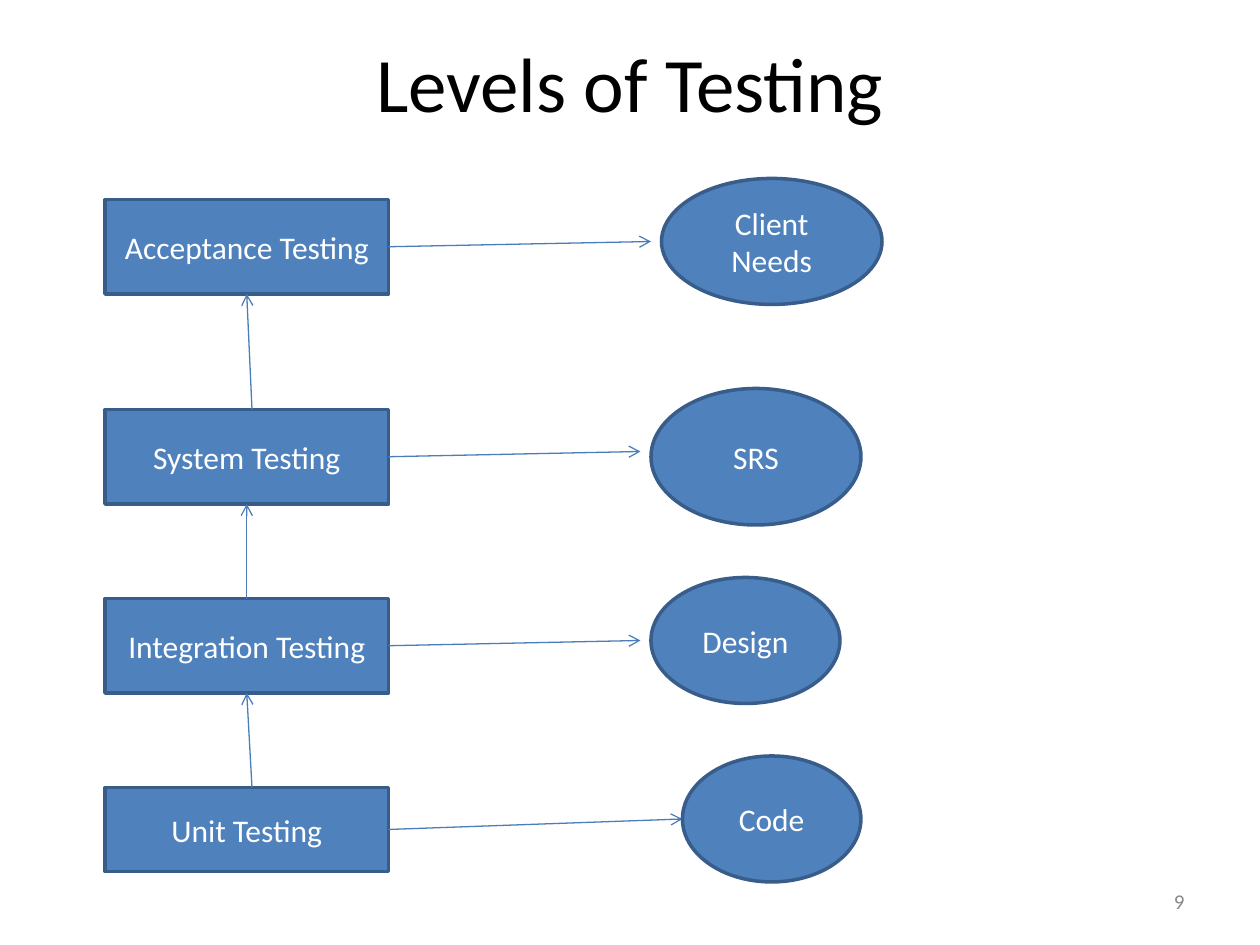
import pptx
import pptx.util
import pptx.dml.color
import pptx.enum.shapes
import pptx.enum.text
import lxml.etree

# Content, placed on a grid of 120 columns by 90 rows
COLS, ROWS = 120, 90
TITLE, PAGE = "Levels of Testing", "9"
BOX_LEFT, BOX_WIDTH = 10, 27
# label, top, height, column where the arrow to the next level up starts
LEVELS = [
    ("Acceptance Testing", 19, 9, None),
    ("System Testing", 39, 9, 24),
    ("Integration Testing", 57, 9, 23.5),
    ("Unit Testing", 75, 8, 24),
]
# label, (left, top, width, height), arrow tip (column, row)
BASES = [
    ("Client Needs", (63, 17, 21, 12), (62, 23)),
    ("SRS", (62, 37, 20, 13), (61, 43)),
    ("Design", (62, 55, 18, 12), (61, 61)),
    ("Code", (65, 72, 17, 12), (65, 78)),
]
COLORS = {"fill": "4F81BD", "edge": "385D8A", "arrow": "4A7EBB",
          "title": "000000", "label": "FFFFFF", "page": "898989"}
FONT = "Calibri"
FRAME = {"word_wrap": True,
         "vertical_anchor": pptx.enum.text.MSO_ANCHOR.MIDDLE,
         "margin_left": pptx.util.Inches(0.1), "margin_right": pptx.util.Inches(0.1),
         "margin_top": pptx.util.Inches(0.05), "margin_bottom": pptx.util.Inches(0.05)}
ALIGN = pptx.enum.text.PP_ALIGN
SHAPE = pptx.enum.shapes.MSO_SHAPE

prs = pptx.Presentation()
prs.slide_width, prs.slide_height = pptx.util.Inches(10), pptx.util.Inches(7.5)
s = prs.slides.add_slide(prs.slide_layouts[6])


def x(col):
    return round(prs.slide_width * col / COLS)


def y(row):
    return round(prs.slide_height * row / ROWS)


def rgb(name):
    return pptx.dml.color.RGBColor.from_string(COLORS[name])


def write(sp, text, size, color, align=ALIGN.CENTER):
    tf = sp.text_frame
    for key, value in FRAME.items():
        setattr(tf, key, value)
    p = tf.paragraphs[0]
    p.alignment = align
    r = p.add_run()
    r.text = text
    for key, value in {"name": FONT, "size": pptx.util.Pt(size)}.items():
        setattr(r.font, key, value)
    r.font.color.rgb = rgb(color)


def node(kind, label, left, top, width, height):
    sp = s.shapes.add_shape(kind, x(left), y(top), x(width), y(height))
    sp.shadow.inherit = False
    sp.fill.solid()
    sp.fill.fore_color.rgb = rgb("fill")
    sp.line.color.rgb = rgb("edge")
    sp.line.width = pptx.util.Pt(2)
    write(sp, label, 18, "label")
    return sp


def arrow(start, tip):
    c = s.shapes.add_connector(pptx.enum.shapes.MSO_CONNECTOR.STRAIGHT,
                               x(start[0]), y(start[1]), x(tip[0]), y(tip[1]))
    c.line.color.rgb = rgb("arrow")
    c.line.width = pptx.util.Pt(0.75)
    ns = "{http://schemas.openxmlformats.org/drawingml/2006/main}"
    lxml.etree.SubElement(c.line._get_or_add_ln(), ns + "tailEnd", type="arrow")
    lxml.etree.SubElement(c._element.spPr, ns + "effectLst")
    return c


# Title and page number
write(s.shapes.add_textbox(x(6), y(3.6), x(108), y(8.4)), TITLE, 44, "title")
write(s.shapes.add_textbox(x(86), y(83.4), x(28), y(4.8)), PAGE, 12, "page", ALIGN.RIGHT)

# Testing levels
boxes = [node(SHAPE.RECTANGLE, label, BOX_LEFT, top, BOX_WIDTH, height)
         for label, top, height, _ in LEVELS]
center, right = BOX_LEFT + BOX_WIDTH / 2, BOX_LEFT + BOX_WIDTH

# Arrows from each level up to the one above
for i in range(1, len(LEVELS)):
    _, top, _, start = LEVELS[i]
    _, upper_top, upper_height, _ = LEVELS[i - 1]
    c = arrow((start, top), (center, upper_top + upper_height))
    if start == center:
        c.begin_connect(boxes[i], 0)
    c.end_connect(boxes[i - 1], 2)

# What each level is tested against
for box, (_, top, height, _), (label, area, tip) in zip(boxes, LEVELS, BASES):
    arrow((right, top + height / 2), tip).begin_connect(box, 3)
    node(SHAPE.OVAL, label, *area)

prs.save("out.pptx")
